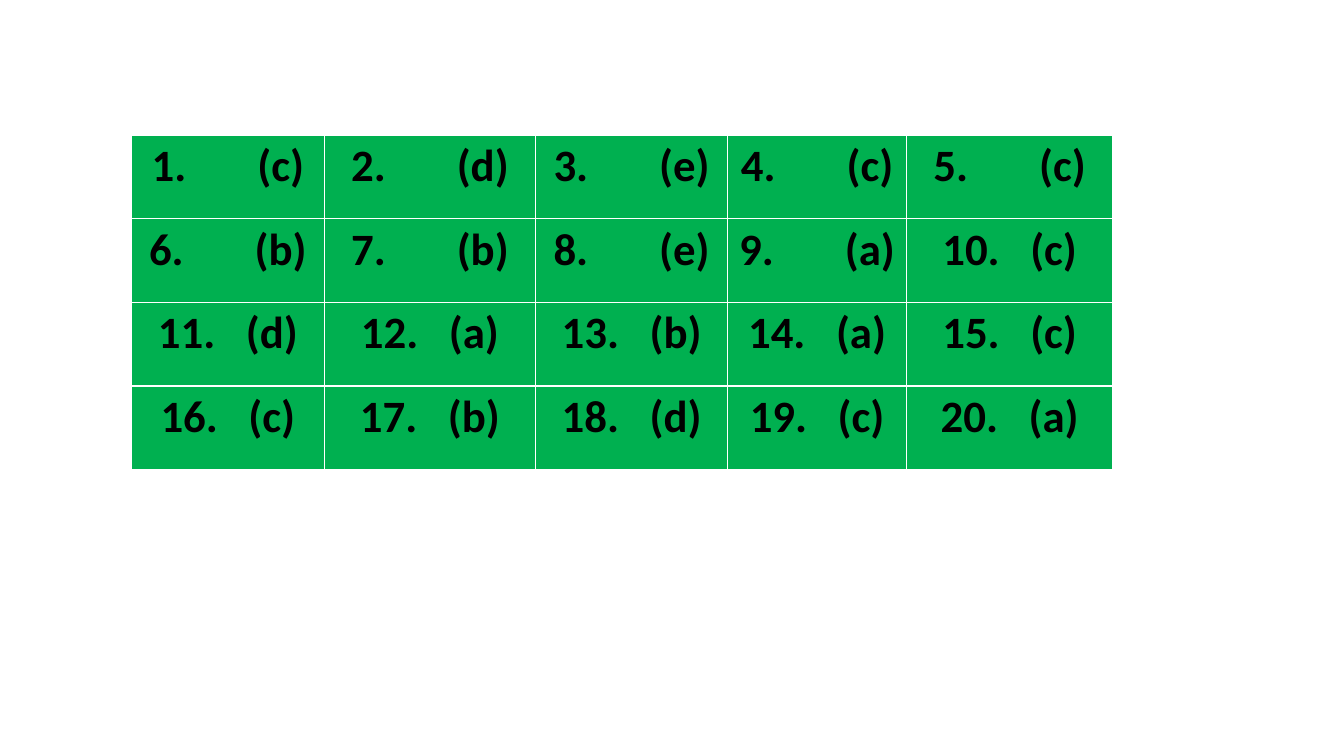
from pptx import Presentation
from pptx.dml.color import RGBColor
from pptx.enum.text import PP_ALIGN as Align
from pptx.util import Inches, Pt

GREEN = RGBColor(0x00, 0xB0, 0x50)
BLACK = RGBColor(0x00, 0x00, 0x00)

ANSWERS = "cdeccbbeacdabaccbdca"
COLUMN_WIDTHS = [1.92, 2.09, 1.91, 1.77, 2.05]
ROW_HEIGHT = 0.83
SHORT_GAP, LONG_GAP = 14.5, 43.4  # points added after the space in a cell


class AnswerPage:
    """Holds the style and the current slide."""

    font, size = "Calibri", Pt(32)

    def __init__(self, deck):
        """Add a blank slide to the deck."""
        self.page = deck.slides.add_slide(deck.slide_layouts[6])

    def span(self, para, text, gap=0):
        """Add a styled run, with extra letter spacing in points."""
        span = para.add_run()
        span.text = text
        span.font.name, span.font.size = self.font, self.size
        span.font.bold = True
        span.font.color.rgb = BLACK
        if gap:
            span.font._element.set("spc", str(round(gap * 100)))

    def answer(self, cell, number, letter):
        """Fill one cell with a question number and its answer letter."""
        cell.fill.solid()
        cell.fill.fore_color.rgb = GREEN
        cell.margin_left = cell.margin_right = Inches(0.07)
        cell.margin_top = cell.margin_bottom = 0
        para = cell.text_frame.paragraphs[0]
        para.alignment = Align.CENTER
        para.line_spacing = 1.07
        properties = para._p.get_or_add_pPr()
        properties.set("marL", "0")
        properties.set("indent", str(Inches(-0.25)))
        self.span(para, f"{number}.")
        self.span(para, "\u00a0", LONG_GAP if number < 10 else SHORT_GAP)
        self.span(para, f"({letter})")

    def answer_table(self, left, top, answers):
        """Add the grid of answers; its table style draws the white borders."""
        columns = len(COLUMN_WIDTHS)
        rows = len(answers) // columns
        table = self.page.shapes.add_table(
            rows, columns, Inches(left), Inches(top),
            Inches(sum(COLUMN_WIDTHS)), Inches(rows * ROW_HEIGHT)).table
        table.horz_banding = True
        for column, width in zip(table.columns, COLUMN_WIDTHS):
            column.width = Inches(width)
        for row in table.rows:
            row.height = Inches(ROW_HEIGHT)
        for index, letter in enumerate(answers):
            cell = table.cell(*divmod(index, columns))
            self.answer(cell, index + 1, letter)


def main():
    """Build and save the deck."""
    deck = Presentation()
    deck.slide_width, deck.slide_height = Inches(13.33), Inches(7.5)
    AnswerPage(deck).answer_table(1.3, 1.34, ANSWERS)
    deck.save("out.pptx")


main()
